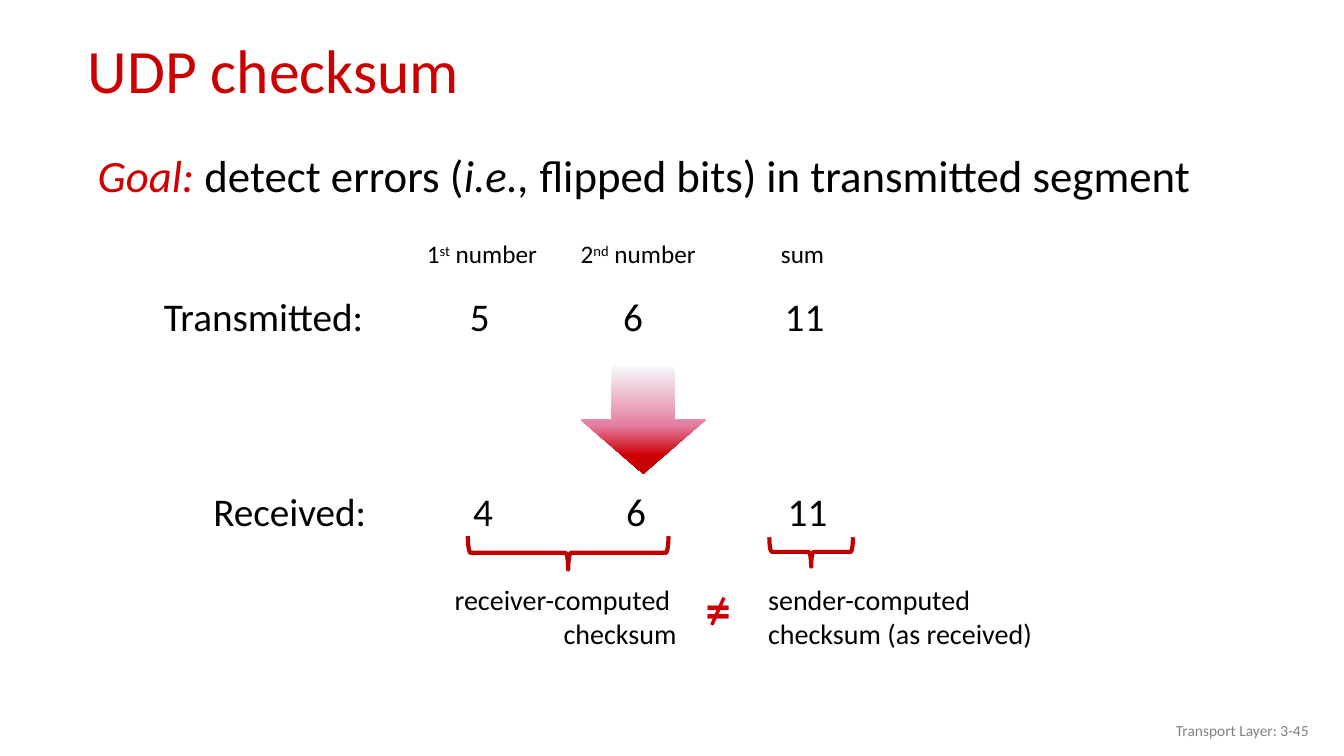
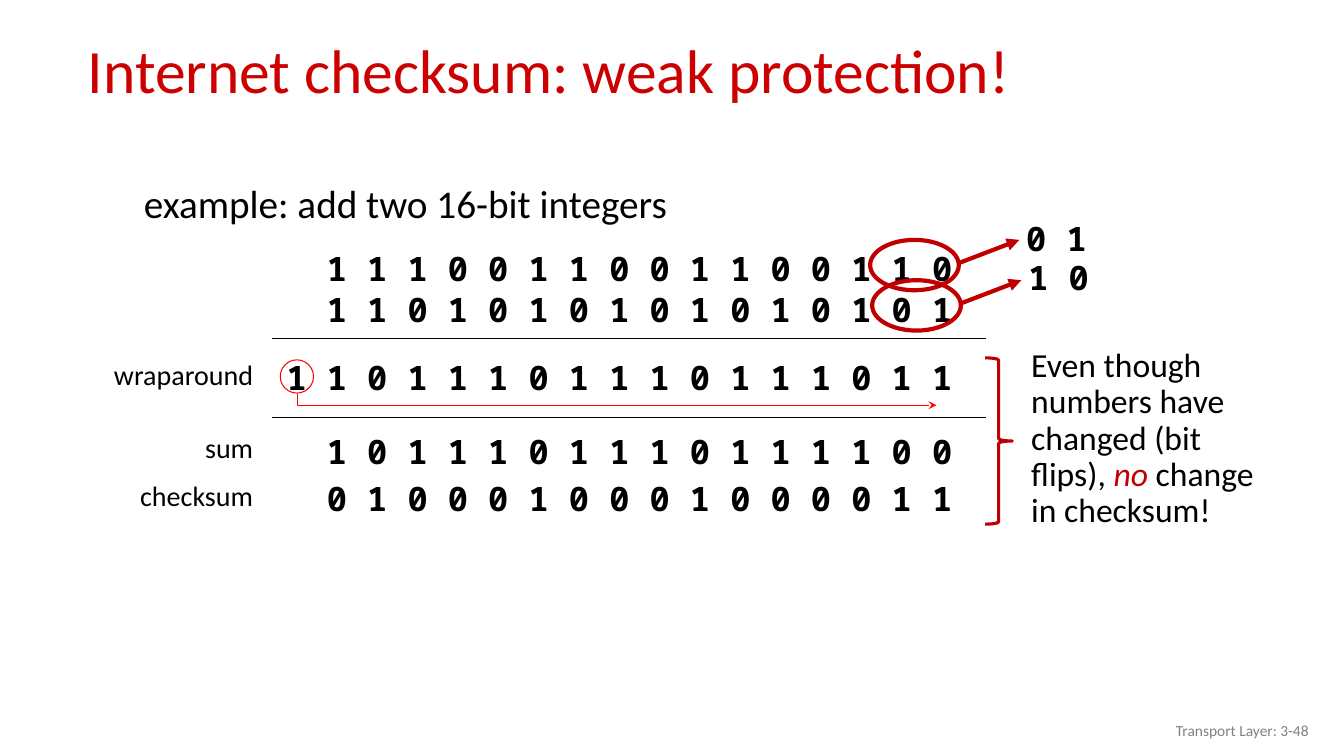
"""Build two slides about the UDP checksum and its weak protection."""
from pptx import Presentation
from pptx import util as u
from pptx.dml.color import RGBColor
from pptx.enum import shapes, text
from pptx.oxml import parse_xml
from pptx.oxml.ns import nsdecls, qn

PX = 9144
SANS, MONO = "Calibri", "Noto Sans Mono"
BLACK, RED, DARK, BRIGHT, GRAY = "000000", "CC0000", "C00000", "FF0000", "808080"
LEFT, CENTER, RIGHT = (text.PP_ALIGN.LEFT, text.PP_ALIGN.CENTER, text.PP_ALIGN.RIGHT)
SHAPE = shapes.MSO_SHAPE
ITALIC, SUPER = {"italic": True}, {"baseline": 30000}

GOAL = [("Goal:", {"italic": True, "color": RED}), (" detect errors (", {}),
        ("i.e., ", ITALIC), ("flipped bits) in transmitted segment", {})]
HEADINGS = [(478, [("1", {}), ("st", SUPER), (" number", {})]),
            (633, [("2", {}), ("nd", SUPER), (" number", {})]),
            (796, [("sum", {})])]
VALUE_CENTERS = [476, 628, 798]
VALUE_ROWS = [("Transmitted:", 0, 290, ["5", "6", "11"]),
              ("Received:", 3, 484, ["4", "6", "11"])]
CAPTIONS = [(381, 300, RIGHT, ["receiver-computed ", "checksum"]),
            (752, 300, LEFT, ["sender-computed", "checksum (as received)"])]
BRACES = [(547, 449, 33, 199), (790, 506, 29, 83)]
ARROW_STOPS = [(0, "F6F9FC"), (55, "E47E9F"), (83, "CD0004"), (100, "C00000")]

BITS_RIGHT, LABELS_RIGHT = 954, 261
BIT_ROWS = [(241, "1110011001100110"), (282, "1101010101010101"),
            (349, "11011101110111011"), (423, "1011101110111100"),
            (469, "0100010001000011")]
BIT_LABELS = [(350, "wraparound"), (422, "sum"), (470, "checksum")]
RULES = [336, 414]
FLIPS = [(863, 238, 211, "01"), (865, 278, 250, "10")]
NOTE = [("Even though numbers have changed (bit flips), ", {}),
        ("no", {"italic": True, "color": DARK}), (" change in checksum!", {})]


def px(n):
    return u.Emu(round(n * PX))


def rgb(value):
    return RGBColor.from_string(value)


def add_text(s, x, y, w, h, paras, size, color=BLACK, font=SANS, bold=False,
             align=LEFT, inset=None, anchor=text.MSO_ANCHOR.TOP, **spacing):
    tf = s.shapes.add_textbox(*map(px, (x, y, w, h))).text_frame
    tf.word_wrap, tf.vertical_anchor = True, anchor
    if inset is not None:
        for side in ("left", "top", "right", "bottom"):
            setattr(tf, f"margin_{side}", px(inset))
    paras = [paras] if isinstance(paras, str) else paras
    for i, runs in enumerate(paras):
        p = tf.add_paragraph() if i else tf.paragraphs[0]
        for name, value in {"alignment": align, **spacing}.items():
            setattr(p, name, value)
        for words, changes in ([(runs, {})] if isinstance(runs, str) else runs):
            r = p.add_run()
            r.text = words
            fmt = {"name": font, "size": u.Pt(size), "bold": bold, "color": color, **changes}
            r.font.color.rgb = rgb(fmt.pop("color"))
            if "baseline" in fmt:
                r._r.get_or_add_rPr().set("baseline", str(fmt.pop("baseline")))
            for name, value in fmt.items():
                setattr(r.font, name, value)


def set_line(sp, color, width, tail=None):
    sp.line.color.rgb, sp.line.width = rgb(color), u.Pt(width)
    if tail:
        ln = sp.line._get_or_add_ln()
        ln.append(parse_xml(f'<a:tailEnd {nsdecls("a")} type="{tail}"/>'))


def add_outline(s, kind, box, color, width, rotation=0):
    sp = s.shapes.add_shape(kind, *map(px, box))
    sp.shadow.inherit = False
    sp.fill.background()
    sp.rotation = rotation
    set_line(sp, color, width)


def add_line(s, start, end, color, width, tail=None):
    line = s.shapes.add_connector(shapes.MSO_CONNECTOR.STRAIGHT, *map(px, (*start, *end)))
    set_line(line, color, width, tail)
    line._element.spPr.append(parse_xml(f'<a:effectLst {nsdecls("a")}/>'))


def add_gradient_arrow(s, box):
    sp = s.shapes.add_shape(SHAPE.DOWN_ARROW, *map(px, box))
    sp.shadow.inherit = False
    sp.line.fill.background()
    sp.fill.gradient()
    sp.fill.gradient_angle = 270
    stops = "".join(f'<a:gs pos="{pos * 1000}"><a:srgbClr val="{color}"/></a:gs>'
                    for pos, color in ARROW_STOPS)
    grad = sp._element.spPr.find(qn("a:gradFill"))
    grad.replace(grad.find(qn("a:gsLst")),
                 parse_xml(f'<a:gsLst {nsdecls("a")}>{stops}</a:gsLst>'))


def add_slide(prs, title, number):
    s = prs.slides.add_slide(prs.slide_layouts[6])
    add_text(s, 87, 32, 1214, 98, title, 44, RED, inset=0)
    add_text(s, 1008, 705, 300, 40, f"Transport Layer: {number}", 11, GRAY,
             align=RIGHT, anchor=text.MSO_ANCHOR.MIDDLE)
    return s


def add_centered(s, center, y, h, runs, size, **spacing):
    add_text(s, center - 80, y, 160, h, [runs], size, align=CENTER, **spacing)


def build_goal(prs):
    s = add_slide(prs, "UDP checksum", "3-45")
    add_text(s, 87, 150, 1214, 93, [GOAL], 32, line_spacing=0.85, space_before=u.Pt(6.4))
    for center, runs in HEADINGS:
        add_centered(s, center, 232, 40, runs, 18)
    spacing = {"line_spacing": 0.9, "space_before": u.Pt(10)}
    for label, dx, y, values in VALUE_ROWS:
        add_text(s, 139 + dx, y, 231, 63, label, 28, align=RIGHT, **spacing)
        for center, value in zip(VALUE_CENTERS, values):
            add_centered(s, center + dx, y, 63, value, 28, **spacing)
    add_gradient_arrow(s, (576, 363, 124, 107))
    for x, w, align, lines in CAPTIONS:
        add_text(s, x, 573, w, 77, lines, 20, align=align)
    for box in BRACES:
        add_outline(s, SHAPE.RIGHT_BRACE, box, DARK, 3, rotation=90)
    add_text(s, 690, 569, 45, 71, "=", 36, "CD0004", bold=True)
    add_line(s, (718, 593), (706, 620), "CD0004", 2.5)


def build_example(prs):
    s = add_slide(prs, "Internet checksum: weak protection!", "3-48")
    add_text(s, 133, 159, 850, 63, "example: add two 16-bit integers", 28,
             line_spacing=1.3, space_before=u.Pt(10))
    for y in RULES:
        add_line(s, (270, y), (978, y), BLACK, 1)
    for y, label in BIT_LABELS:
        add_text(s, LABELS_RIGHT - 180, y, 180, 44, label, 20, align=RIGHT)
    for y, bits in BIT_ROWS:
        add_text(s, BITS_RIGHT - 720, y, 720, 50, " ".join(bits), 24,
                 font=MONO, bold=True, align=RIGHT)
    add_outline(s, SHAPE.OVAL, (278, 357, 33, 33), BRIGHT, 0.75)
    builder = s.shapes.build_freeform(px(295), px(391))
    builder.add_line_segments([(px(295), px(402)), (px(929), px(402))], close=False)
    carry = builder.convert_to_shape()
    carry.shadow.inherit = False
    carry.fill.background()
    set_line(carry, BRIGHT, 0.75, "stealth")
    for x, y, bits_y, bits in FLIPS:
        add_outline(s, SHAPE.OVAL, (x, y, 88, 50), DARK, 3)
        add_line(s, (x + 88, y + 23), (x + 148, y), DARK, 3, "triangle")
        add_text(s, x + 145, bits_y, 101, 50, " ".join(bits), 24, font=MONO, bold=True)
    add_outline(s, SHAPE.RIGHT_BRACE, (977, 355, 27, 165), DARK, 2.25)
    add_text(s, 1013, 341, 263, 192, [NOTE], 24, line_spacing=0.9)


def main():
    prs = Presentation()
    prs.slide_width, prs.slide_height = px(1333), px(750)
    build_goal(prs)
    build_example(prs)
    prs.save("out.pptx")


if __name__ == "__main__":
    main()
